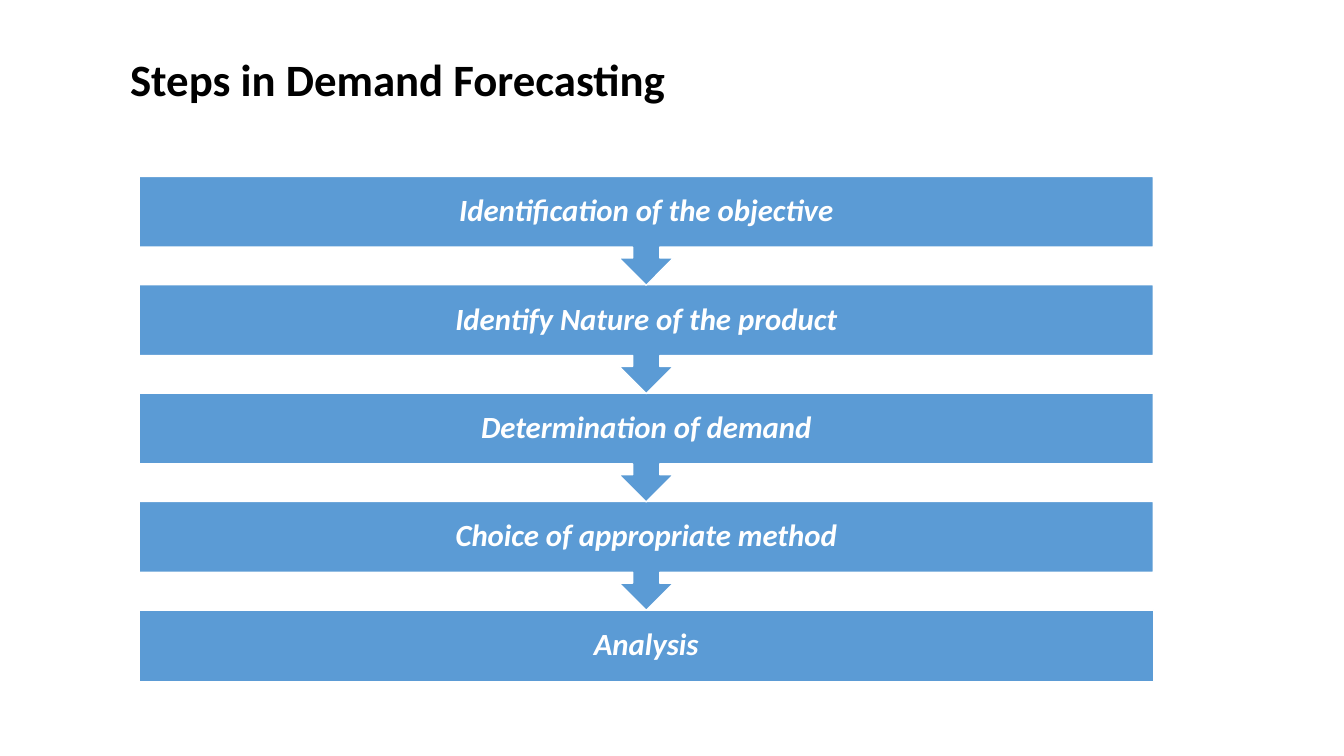
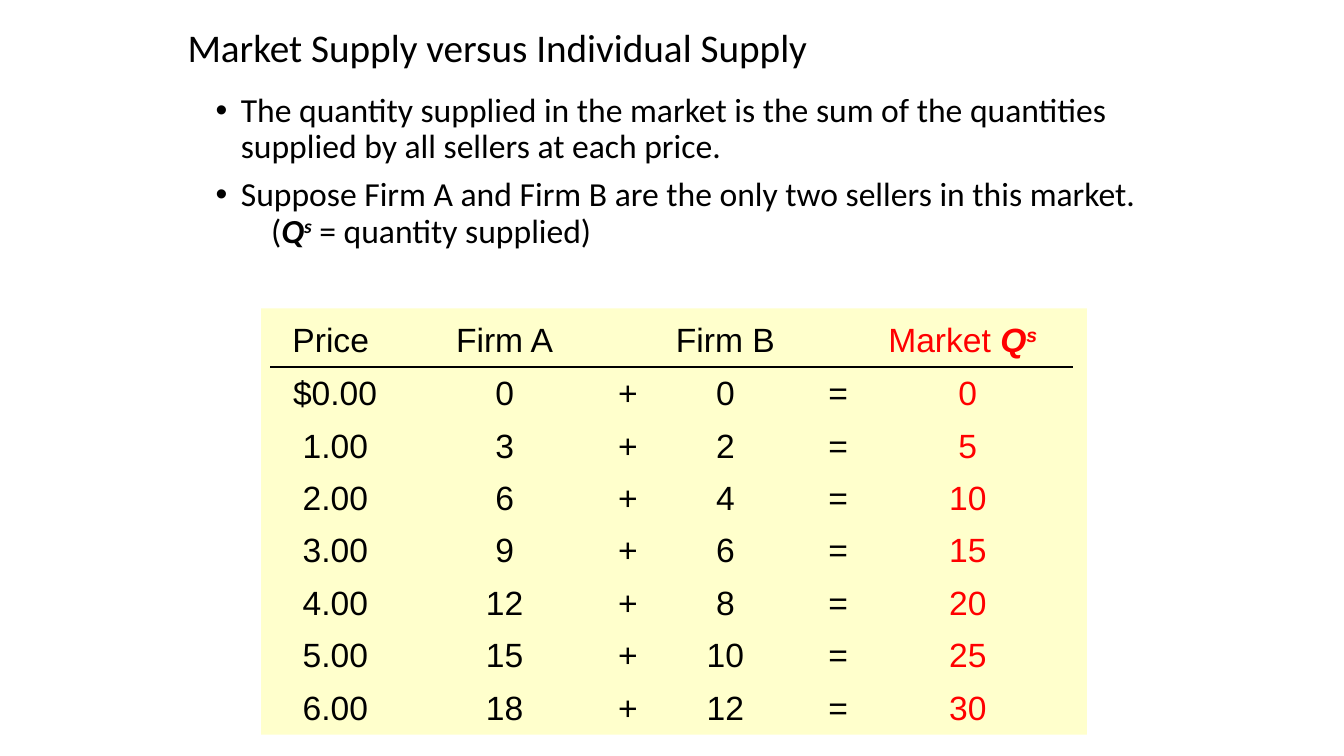
from dataclasses import dataclass

from lxml.etree import SubElement
from pptx import Presentation
from pptx.dml.color import RGBColor
from pptx.enum.shapes import MSO_CONNECTOR, MSO_SHAPE
from pptx.enum.text import MSO_ANCHOR as Anchor, MSO_AUTO_SIZE as AutoSize, PP_ALIGN as Align
from pptx.oxml.ns import qn
from pptx.slide import Slide
from pptx.text.text import _Paragraph as Paragraph
from pptx.util import Inches, Pt

BLACK = RGBColor(0x00, 0x00, 0x00)
WHITE = RGBColor(0xFF, 0xFF, 0xFF)
BLUE = RGBColor(0x5B, 0x9B, 0xD5)
RED = RGBColor(0xFF, 0x00, 0x00)
CREAM = RGBColor(0xFF, 0xFF, 0xCC)
NO_STYLE_TABLE = "{2D5ABB26-0587-4C30-8999-92F81FD0307C}"


@dataclass(frozen=True)
class TextStyle:
    """Font settings of a piece of text."""

    size: int
    color: RGBColor = BLACK
    font: str = "Calibri"
    bold: bool = False
    italic: bool = False
    spacing: float = 0.9


@dataclass(frozen=True)
class Piece:
    """Part of a line, either plain or a bold italic symbol."""

    text: str
    symbol: bool = False
    raised: bool = False


@dataclass(frozen=True)
class Bullet:
    """Body line with its indent, hanging mark and gap above."""

    pieces: tuple[Piece, ...]
    indent: float = 0.25
    marked: bool = True
    gap: float = 0


@dataclass(frozen=True)
class Column:
    """Table column with its heading, width and alignment."""

    heading: tuple[Piece, ...]
    width: float
    align: Align = Align.CENTER
    color: RGBColor = BLACK
    heading_right: float = 0.1


@dataclass(frozen=True)
class Supply:
    """Quantities that the two firms supply at one price."""

    price: str
    firm_a: int
    firm_b: int

    def cells(self) -> tuple[str, ...]:
        """Return the table row, ending in the market total."""
        total = self.firm_a + self.firm_b
        return self.price, str(self.firm_a), "+", str(self.firm_b), "=", str(total)


STEP_STYLE = TextStyle(22, WHITE, bold=True, italic=True)
BODY_STYLE = TextStyle(24)
QUANTITY = (Piece("Q", True), Piece("s", True, True))

STEPS = (
    "Identification of the objective",
    "Identify Nature of the product",
    "Determination of demand",
    "Choice of appropriate method",
    "Analysis",
)
BULLETS = (
    Bullet((Piece("The quantity supplied in the market is the sum of the quantities "
                  "supplied by all sellers at each price."),)),
    Bullet((Piece("Suppose Firm A and Firm B are the only two sellers in this market."),), gap=8.4),
    Bullet((Piece("("), *QUANTITY, Piece(" = quantity supplied)")), indent=0.55, marked=False),
)
COLUMNS = (
    Column((Piece("Price"),), 1.3, Align.RIGHT, heading_right=0.2),
    Column((Piece("Firm A"),), 2.05),
    Column((), 0.29, Align.LEFT),
    Column((Piece("Firm B"),), 1.75),
    Column((), 0.49),
    Column((Piece("Market "), *QUANTITY), 2.08, color=RED, heading_right=0.2),
)
SUPPLIES = (
    Supply("$0.00", 0, 0),
    Supply("1.00", 3, 2),
    Supply("2.00", 6, 4),
    Supply("3.00", 9, 6),
    Supply("4.00", 12, 8),
    Supply("5.00", 15, 10),
    Supply("6.00", 18, 12),
)


def format_paragraph(paragraph: Paragraph, style: TextStyle, align: Align = Align.LEFT) -> None:
    """Apply a style to a paragraph and its runs."""
    paragraph.alignment = align
    paragraph.line_spacing = style.spacing
    for run in paragraph.runs:
        run.font.name = style.font
        run.font.size = Pt(style.size)
        run.font.color.rgb = style.color
        run.font.bold = style.bold
        run.font.italic = style.italic


def write_pieces(paragraph: Paragraph, pieces: tuple[Piece, ...], style: TextStyle,
                 align: Align = Align.LEFT) -> None:
    """Write a line that mixes plain text and symbols."""
    for piece in pieces:
        paragraph.add_run().text = piece.text
    format_paragraph(paragraph, style, align)
    for run, piece in zip(paragraph.runs, pieces):
        run.font.bold = run.font.italic = piece.symbol
        if piece.raised:
            run._r.get_or_add_rPr().set("baseline", "30000")


def add_titled_slide(deck: Presentation, text: str, box: tuple[float, ...], style: TextStyle) -> Slide:
    """Add a title-only slide with its title placed and formatted."""
    slide = deck.slides.add_slide(deck.slide_layouts[5])
    title = slide.shapes.title
    title.left, title.top, title.width, title.height = map(Inches, box)
    frame = title.text_frame
    frame.text = text
    frame.auto_size = AutoSize.NONE
    frame.vertical_anchor = Anchor.TOP
    format_paragraph(frame.paragraphs[0], style)
    return slide


def add_steps(slide: Slide) -> None:
    """Draw the chain of steps, each pointing down to the next."""
    first_top, last_top = 1.75, 6.05
    pitch = (last_top - first_top) / (len(STEPS) - 1)
    for index, text in reversed(list(enumerate(STEPS))):
        is_last = index == len(STEPS) - 1
        outline = MSO_SHAPE.RECTANGLE if is_last else MSO_SHAPE.DOWN_ARROW_CALLOUT
        step = slide.shapes.add_shape(outline, Inches(1.38), Inches(first_top + index * pitch),
                                      Inches(10.06), Inches(0.71 if is_last else 1.08))
        step.shadow.inherit = False
        step.fill.solid()
        step.fill.fore_color.rgb = BLUE
        step.line.color.rgb = WHITE
        step.line.width = Pt(1)
        step.text_frame.text = text
        step.text_frame.vertical_anchor = Anchor.MIDDLE
        format_paragraph(step.text_frame.paragraphs[0], STEP_STYLE, Align.CENTER)


def add_bullets(slide: Slide) -> None:
    """Write the explanation above the table."""
    frame = slide.shapes.add_textbox(Inches(2.04), Inches(0.88), Inches(9.32), Inches(2.17)).text_frame
    frame.word_wrap = True
    for index, bullet in enumerate(BULLETS):
        paragraph = frame.add_paragraph() if index else frame.paragraphs[0]
        properties = paragraph._p.get_or_add_pPr()
        properties.set("marL", str(Inches(bullet.indent)))
        if bullet.marked:
            properties.set("indent", str(-Inches(bullet.indent)))
            SubElement(properties, qn("a:buFont")).set("typeface", "Arial")
            SubElement(properties, qn("a:buChar")).set("char", "•")
        paragraph.space_before = Pt(bullet.gap)
        write_pieces(paragraph, bullet.pieces, BODY_STYLE)


def add_panel(slide: Slide) -> None:
    """Draw the tinted panel and the rule below the headings."""
    panel = slide.shapes.add_shape(MSO_SHAPE.RECTANGLE, Inches(2.59), Inches(3.06),
                                   Inches(8.19), Inches(4.23))
    panel.shadow.inherit = False
    panel.fill.solid()
    panel.fill.fore_color.rgb = CREAM
    panel.line.fill.background()
    rule = slide.shapes.add_connector(MSO_CONNECTOR.STRAIGHT, Inches(2.68), Inches(3.64),
                                      Inches(10.64), Inches(3.64))
    rule.line.color.rgb = BLACK
    rule.line.width = Pt(1)
    SubElement(rule._element.spPr, qn("a:effectLst"))


def add_supply_table(slide: Slide) -> None:
    """Fill the table of individual and market supply."""
    heading_height, row_height = 0.54, 0.52
    width = sum(column.width for column in COLUMNS)
    height = heading_height + row_height * len(SUPPLIES)
    table = slide.shapes.add_table(len(SUPPLIES) + 1, len(COLUMNS), Inches(2.68), Inches(3.1),
                                   Inches(width), Inches(height)).table
    table._tbl.tblPr.find(qn("a:tableStyleId")).text = NO_STYLE_TABLE
    table.first_row = table.horz_banding = False
    for index, row in enumerate(table.rows):
        row.height = Inches(row_height if index else heading_height)
    for x, column in enumerate(COLUMNS):
        table.columns[x].width = Inches(column.width)
        style = TextStyle(24, column.color, "Arial", spacing=1.05)
        lines = [column.heading] + [(Piece(supply.cells()[x]),) for supply in SUPPLIES]
        for y, pieces in enumerate(lines):
            cell = table.cell(y, x)
            cell.fill.background()
            cell.vertical_anchor = Anchor.MIDDLE
            cell.margin_top = cell.margin_bottom = 0
            if y == 0:
                cell.margin_right = Inches(column.heading_right)
            elif column.align == Align.RIGHT:
                cell.margin_right = Inches(0.24 if y == 1 else 0.33)
            elif column.align == Align.LEFT:
                cell.margin_right = 0
            write_pieces(cell.text_frame.paragraphs[0], pieces, style,
                         column.align if y else Align.CENTER)


def main() -> None:
    """Build and save the presentation."""
    deck = Presentation()
    deck.slide_width, deck.slide_height = Inches(13.33), Inches(7.5)
    add_steps(add_titled_slide(deck, "Steps in Demand Forecasting", (1.19, 0.52, 8.62, 0.93),
                               TextStyle(32, bold=True)))
    supply_slide = add_titled_slide(deck, "Market Supply versus Individual Supply",
                                    (1.76, 0.23, 9.84, 0.64), TextStyle(28))
    add_bullets(supply_slide)
    add_panel(supply_slide)
    add_supply_table(supply_slide)
    deck.save("out.pptx")


if __name__ == "__main__":
    main()
